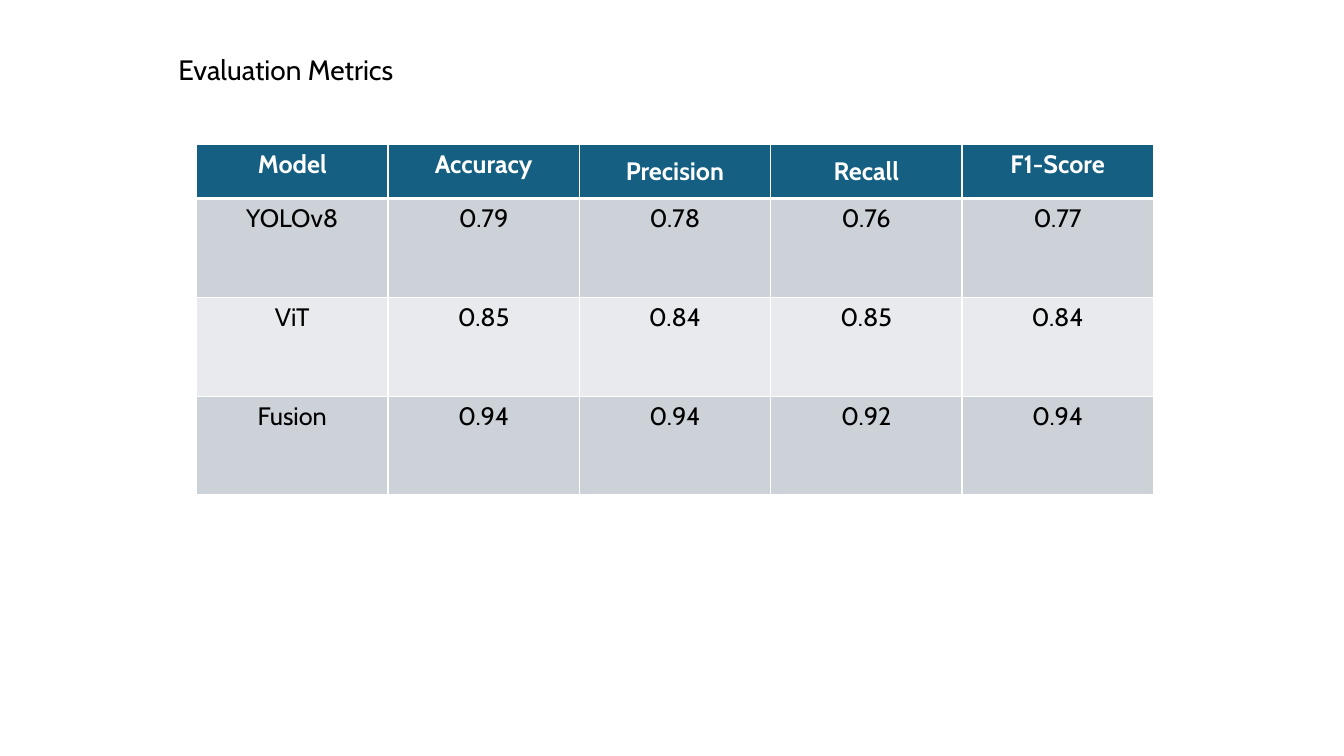
import pptx
import pptx.util
import pptx.dml.color
import pptx.enum.text
import pptx.oxml.ns
import lxml.etree

Inches = pptx.util.Inches
Pt = pptx.util.Pt
ANCHOR = pptx.enum.text.MSO_ANCHOR
ALIGN = pptx.enum.text.PP_ALIGN

FONT = "Cabin"
BLACK, WHITE, HEAD = "000000", "FFFFFF", "156082"
BANDS = ["CCD2D8", "E8EAED"]
SCORES = [
    ["Model", "Accuracy", "Precision", "Recall", "F1-Score"],
    ["YOLOv8", "0.79", "0.78", "0.76", "0.77"],
    ["ViT", "0.85", "0.84", "0.85", "0.84"],
    ["Fusion", "0.94", "0.94", "0.92", "0.94"],
]
CENTRED = ["Precision", "Recall"]


def color(code):
    return pptx.dml.color.RGBColor.from_string(code)


def style(para, size, code, bold=False):
    for run in para.runs:
        font = run.font
        font.name, font.size, font.bold = FONT, Pt(size), bold
        font.color.rgb = color(code)


def border(cell, side, width):
    """Draw a white line on one side: L, R, T or B."""
    qn = pptx.oxml.ns.qn
    props = cell._tc.get_or_add_tcPr()
    line = lxml.etree.SubElement(props, qn("a:ln" + side), w=str(Pt(width)))
    fill = lxml.etree.SubElement(line, qn("a:solidFill"))
    lxml.etree.SubElement(fill, qn("a:srgbClr"), val=WHITE)


def add_title(slide, left, top, width, height):
    box = slide.shapes.add_textbox(
        Inches(left), Inches(top), Inches(width), Inches(height))
    frame = box.text_frame
    frame.word_wrap = True
    frame.vertical_anchor = ANCHOR.BOTTOM
    frame.text = "Evaluation Metrics"
    para = frame.paragraphs[0]
    para.line_spacing = 0.9
    style(para, 20, BLACK)


def fill_cell(cell, text, row):
    head = row == 0
    widths = {"L": 1, "R": 1, "T": 3 if row == 1 else 1, "B": 3 if head else 1}
    for side, width in widths.items():
        border(cell, side, width)
    cell.fill.solid()
    cell.fill.fore_color.rgb = color(HEAD if head else BANDS[(row - 1) % 2])
    cell.vertical_anchor = ANCHOR.MIDDLE if text in CENTRED else ANCHOR.TOP
    cell.text_frame.text = text
    para = cell.text_frame.paragraphs[0]
    para.alignment = ALIGN.CENTER
    style(para, 18, WHITE if head else BLACK, head)


def add_scores(slide, left, top, width, height, head=0.54):
    rows, cols = len(SCORES), len(SCORES[0])
    table = slide.shapes.add_table(
        rows, cols, Inches(left), Inches(top),
        Inches(width), Inches(height)).table
    for col in table.columns:
        col.width = Inches(width / cols)
    for r, texts in enumerate(SCORES):
        table.rows[r].height = Inches((height - head) / (rows - 1) if r else head)
        for c, text in enumerate(texts):
            fill_cell(table.cell(r, c), text, r)


def main():
    deck = pptx.Presentation()
    deck.slide_width, deck.slide_height = Inches(13.33), Inches(7.5)
    slide = deck.slides.add_slide(deck.slide_layouts[6])
    add_title(slide, 1.67, 0.39, 10, 0.52)
    add_scores(slide, 1.95, 1.43, 9.49, 3.48)
    deck.save("out.pptx")


if __name__ == "__main__":
    main()
